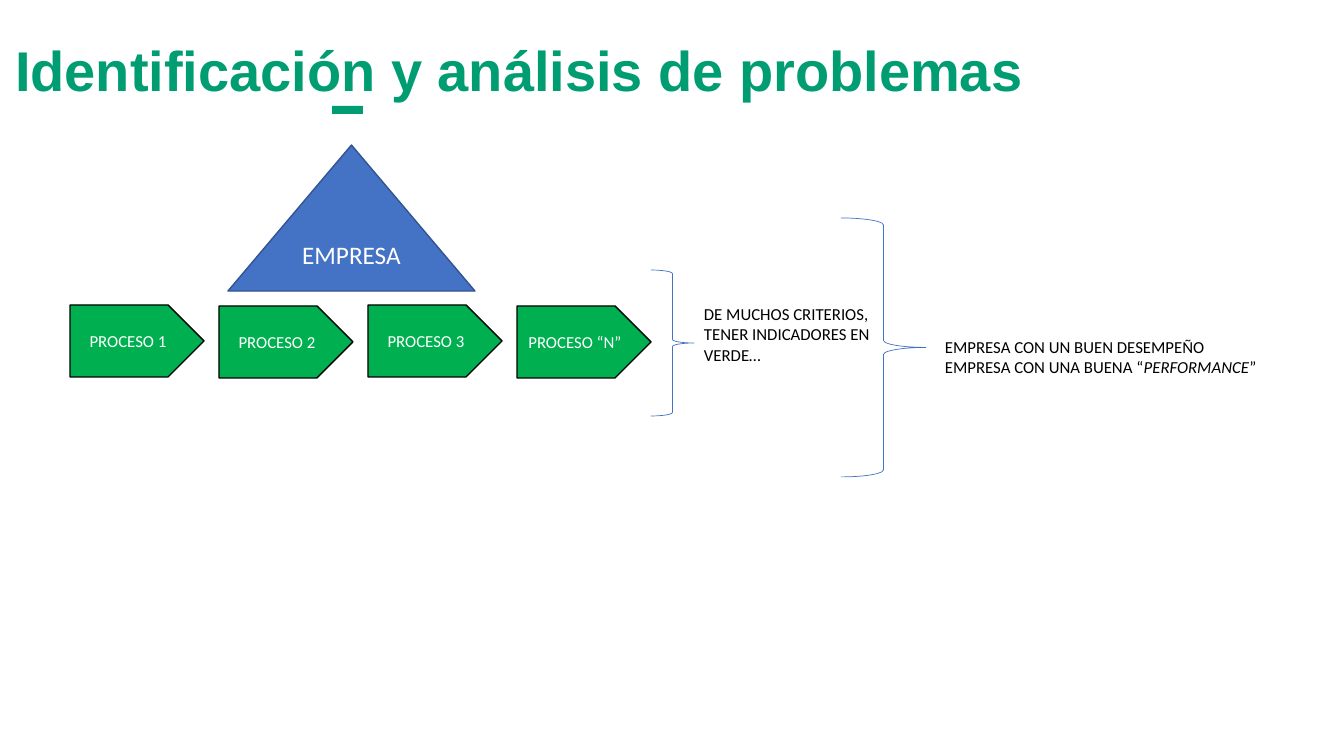
"""Build the slide on identifying and analysing problems."""
from pptx import Presentation
from pptx import util as u
from pptx.dml.color import RGBColor
from pptx.enum import shapes, text

TEAL = RGBColor(0x00, 0x9D, 0x72)
BLUE = RGBColor(0x44, 0x72, 0xC4)
NAVY = RGBColor(0x32, 0x54, 0x91)
GREEN = RGBColor(0x00, 0xB0, 0x50)
BLACK = RGBColor(0, 0, 0)
WHITE = RGBColor(255, 255, 255)
KIND = shapes.MSO_SHAPE
SCALE = 914400 / 100.8


def px(n):
    return u.Emu(round(n * SCALE))


def write(frame, *lines, size=12, font="Calibri", color=BLACK, bold=False,
          align=text.PP_ALIGN.LEFT, anchor=text.MSO_ANCHOR.TOP,
          wrap=True, fit=text.MSO_AUTO_SIZE.NONE, space=None):
    frame.word_wrap = wrap
    frame.auto_size = fit
    frame.vertical_anchor = anchor
    for i, line in enumerate(lines):
        para = frame.add_paragraph() if i else frame.paragraphs[0]
        para.alignment = align
        para.line_spacing = space
        for part, slant in line:
            run = para.add_run()
            run.text = part
            face = run.font
            face.name, face.size = font, u.Pt(size)
            face.bold, face.italic = bold, slant
            face.color.rgb = color


class Board:
    def __init__(self, deck):
        self.slide = deck.slides.add_slide(deck.slide_layouts[5])

    def title(self, label, *box):
        head = self.slide.shapes.title
        head.left, head.top, head.width, head.height = map(px, box)
        write(head.text_frame, [(label, False)], size=40, font="Arial",
              color=TEAL, bold=True, anchor=text.MSO_ANCHOR.MIDDLE, space=0.9)

    def shape(self, kind, *box, fill=None, line=None, width=1, label=None, size=12):
        item = self.slide.shapes.add_shape(kind, *map(px, box))
        item.shadow.inherit = False
        if fill is None:
            item.fill.background()
        else:
            item.fill.solid()
            item.fill.fore_color.rgb = fill
        if line is None:
            item.line.fill.background()
        else:
            item.line.color.rgb = line
            item.line.width = u.Pt(width)
        if label:
            write(item.text_frame, [(label, False)], size=size, color=WHITE,
                  align=text.PP_ALIGN.CENTER, anchor=text.MSO_ANCHOR.MIDDLE)

    def brace(self, *box):
        self.shape(KIND.RIGHT_BRACE, *box, line=BLUE, width=0.5)

    def note(self, *lines, box, wrap=True):
        item = self.slide.shapes.add_textbox(*map(px, box))
        write(item.text_frame, *lines, wrap=wrap,
              fit=text.MSO_AUTO_SIZE.SHAPE_TO_FIT_TEXT)


def main():
    deck = Presentation()
    deck.slide_width, deck.slide_height = px(1344), px(756)
    board = Board(deck)
    board.title("Identificación y análisis de problemas", 5, 0, 1140, 146)
    board.shape(KIND.RECTANGLE, 332, 106, 31, 8, fill=TEAL)
    board.shape(KIND.ISOSCELES_TRIANGLE, 228, 145, 247, 146, fill=BLUE,
                line=NAVY, label="EMPRESA", size=18)
    for i, step in enumerate(["1", "2", "3", "“N”"]):
        board.shape(KIND.PENTAGON, 70 + 149 * i, 305 + i % 2, 134, 72,
                    fill=GREEN, line=BLACK, label=f"PROCESO {step}")
    board.brace(651, 270, 43, 146)
    board.note([("DE MUCHOS CRITERIOS, TENER INDICADORES EN VERDE…", False)],
               box=(694, 299, 188, 72))
    board.brace(841, 218, 85, 259)
    board.note([("EMPRESA CON UN BUEN DESEMPEÑO", False)],
               [("EMPRESA CON UNA BUENA “", False), ("PERFORMANCE", True),
                ("”", False)],
               box=(935, 332, 336, 50), wrap=False)
    deck.save("out.pptx")


if __name__ == "__main__":
    main()
